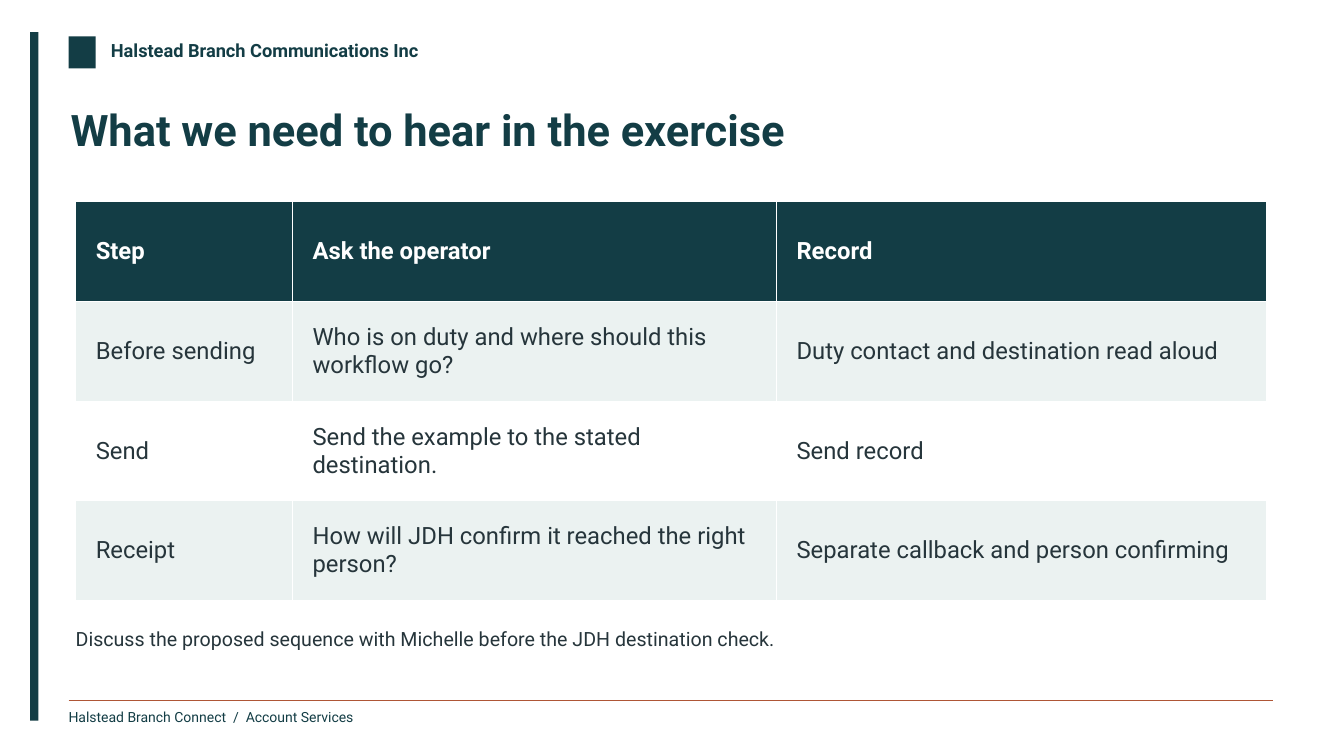
"""Build the slide that lists what to hear in the exercise."""
from lxml import etree
from pptx import Presentation
from pptx.dml.color import RGBColor
from pptx.enum.shapes import MSO_CONNECTOR, MSO_SHAPE
from pptx.enum.text import MSO_ANCHOR, MSO_AUTO_SIZE, PP_ALIGN
from pptx.oxml.ns import qn
from pptx.util import Inches, Pt

TEAL = RGBColor(0x13, 0x3D, 0x45)
RUST = RGBColor(0xAF, 0x56, 0x36)
INK = RGBColor(0x26, 0x35, 0x3B)
PALE = RGBColor(0xEB, 0xF2, 0xF1)
WHITE = RGBColor(0xFF, 0xFF, 0xFF)
RECT = MSO_SHAPE.RECTANGLE
STRAIGHT = MSO_CONNECTOR.STRAIGHT
LEFT = PP_ALIGN.LEFT
TOP, MIDDLE = MSO_ANCHOR.TOP, MSO_ANCHOR.MIDDLE
FIXED = MSO_AUTO_SIZE.NONE

EDGE = 0.68
INSET = 0.75
COLS = (2.15, 4.8, 4.86)
WIDTH = sum(COLS)
ROW = 0.99


def write(frame, text, size, color, bold=False):
    """Put one run of styled text in a frame."""
    par = frame.paragraphs[0]
    par.alignment = LEFT
    run = par.add_run()
    run.text = text
    font = run.font
    font.name, font.size, font.bold = "Roboto", Pt(size), bold
    font.color.rgb = color


def trim(frame, wrap):
    """Drop the insets of a frame and fix its size."""
    frame.margin_left = frame.margin_right = 0
    frame.margin_top = frame.margin_bottom = 0
    frame.vertical_anchor = TOP
    frame.auto_size = FIXED
    frame.word_wrap = wrap


deck = Presentation()
deck.slide_width, deck.slide_height = Inches(13.33), Inches(7.5)
slide = deck.slides.add_slide(deck.slide_layouts[5])
shapes = slide.shapes

bars = [(0.3, 0.32, 0.08, 6.83), (EDGE, 0.36, 0.27, 0.32)]
for x, y, w, h in bars:
    bar = shapes.add_shape(RECT, Inches(x), Inches(y), Inches(w), Inches(h))
    bar.shadow.inherit = False
    bar.fill.solid()
    bar.fill.fore_color.rgb = TEAL
    bar.line.fill.background()

rule = shapes.add_connector(STRAIGHT, Inches(EDGE), Inches(6.95),
                            Inches(EDGE + 11.95), Inches(6.95))
rule.line.color.rgb = RUST
rule.line.width = Pt(1)
etree.SubElement(rule._element.spPr, qn("a:effectLst"))

title = shapes.title
title.left, title.top = Inches(0.7), Inches(1.02)
title.width, title.height = Inches(11.9), Inches(0.86)
trim(title.text_frame, True)
write(title.text_frame, "What we need to hear in the exercise", 31, TEAL, True)

labels = [
    (1.1, 0.39, 3.55, 0.27, False,
     "Halstead Branch Communications Inc", 13, TEAL, True),
    (EDGE, 7.03, 2.6, 0.23, False,
     "Halstead Branch Connect  /  Account Services", 10, TEAL, False),
    (INSET, 6.22, WIDTH, 0.44, True,
     "Discuss the proposed sequence with Michelle before the JDH destination check.",
     14, INK, False),
]
for x, y, w, h, wrap, text, size, color, bold in labels:
    box = shapes.add_textbox(Inches(x), Inches(y), Inches(w), Inches(h))
    trim(box.text_frame, wrap)
    write(box.text_frame, text, size, color, bold)

steps = [
    ("Step", "Ask the operator", "Record"),
    ("Before sending", "Who is on duty and where should this workflow go?",
     "Duty contact and destination read aloud"),
    ("Send", "Send the example to the stated destination.", "Send record"),
    ("Receipt", "How will JDH confirm it reached the right person?",
     "Separate callback and person confirming"),
]
grid = shapes.add_table(len(steps), len(COLS), Inches(INSET), Inches(2),
                        Inches(WIDTH), Inches(ROW * len(steps)))
table = grid.table
for col, width in zip(table.columns, COLS):
    col.width = Inches(width)
for r, step in enumerate(steps):
    table.rows[r].height = Inches(ROW)
    head = r == 0
    back = TEAL if head else PALE if r % 2 else WHITE
    for c, text in enumerate(step):
        cell = table.cell(r, c)
        cell.fill.solid()
        cell.fill.fore_color.rgb = back
        cell.vertical_anchor = MIDDLE
        cell.margin_left, cell.margin_right = Inches(0.2), Inches(0.1)
        cell.margin_top = cell.margin_bottom = Inches(0.05)
        write(cell.text_frame, text, 17, WHITE if head else INK, head)

deck.save("out.pptx")
